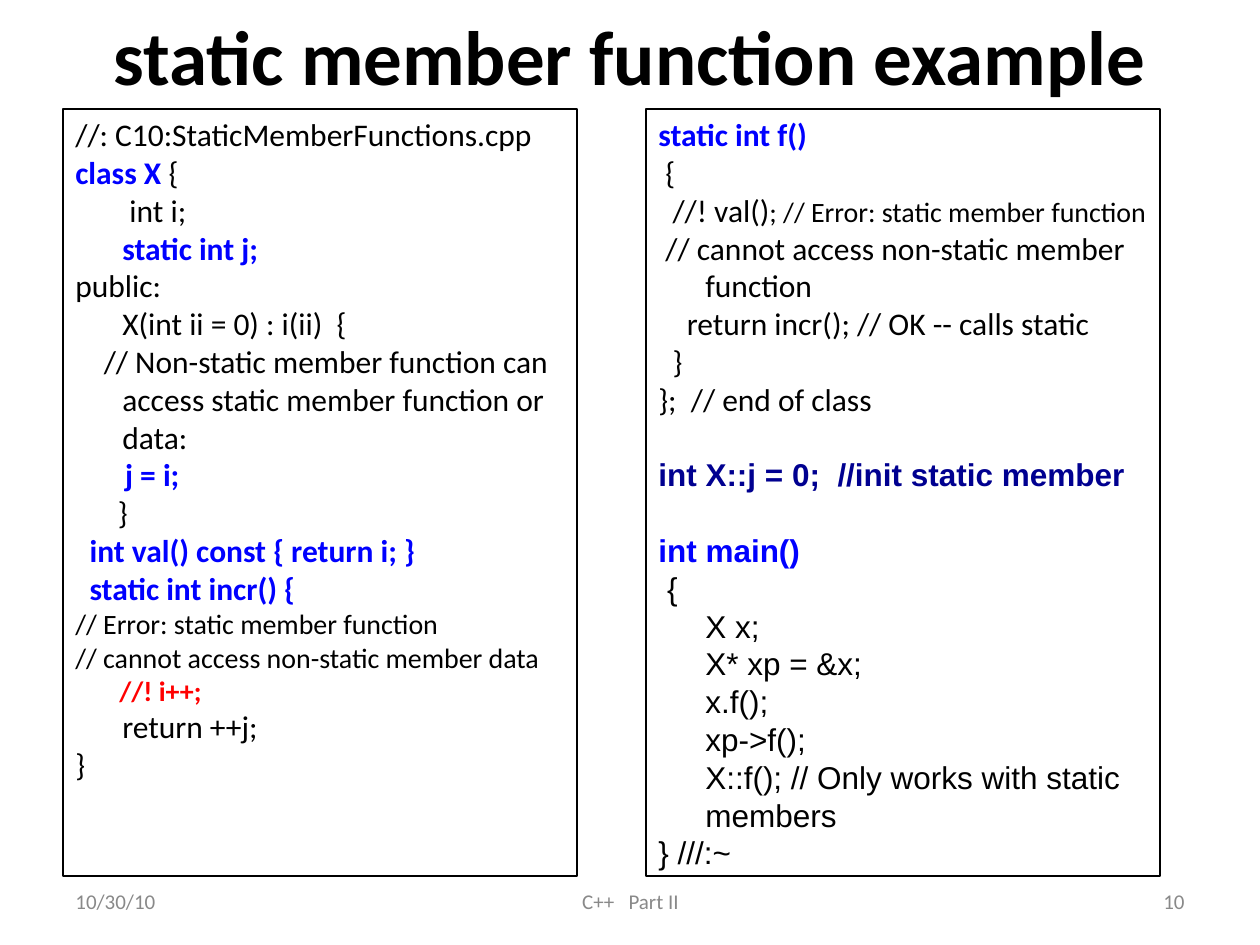
import pptx
import pptx.util
import pptx.dml.color
import pptx.enum.shapes
import pptx.enum.text

Pt = pptx.util.Pt
ALIGN = pptx.enum.text.PP_ALIGN
ANCHOR = pptx.enum.text.MSO_ANCHOR

# Styles: size, font, colour, bold
BODY = (18, "Calibri", "000000", False)
BLUE = (18, "Calibri", "0000FF", True)
NOTE = (16, "Calibri", "000000", False)
RED = (16, "Calibri", "FF0000", True)
SANS = (18, "Arial", "000000", False)
NAVY = (18, "Arial", "000090", True)
HEAD = (18, "Arial", "0000FF", True)
TITLE = (44, "Calibri", "000000", True)
GREY = (12, "Calibri", "898989", False)

# Code lines: each is a list of (text, style) runs
LEFT = [
    [("//: C10:StaticMemberFunctions.cpp", BODY)],
    [("class X ", BLUE), ("{", BODY)],
    [("\t int i;", BODY)],
    [("  \tstatic int j;", BLUE)],
    [("public:", BODY)],
    [("  \tX(int ii = 0) : i(ii)  {", BODY)],
    [("    // Non-static member function can access static member function or data:", BODY)],
    [("       j = i;", BLUE)],
    [("      }", BODY)],
    [("  int val() const { return i; }", BLUE)],
    [("  static int incr() {", BLUE)],
    [("// Error: static member function", NOTE)],
    [("// cannot access non-static member data", NOTE)],
    [("       //! i++;", RED)],
    [("\treturn ++j;", BODY)],
    [("}", BODY)],
]
RIGHT = [
    [("static int f()", BLUE)],
    [(" {", BODY)],
    [("  //! val()", BODY), ("; // Error: static member function", NOTE)],
    [(" // cannot access non-static member function", BODY)],
    [("    return incr(); // OK -- calls static", BODY)],
    [("  }", BODY)],
    [("};  // end of class", BODY)],
    [("int X::j = 0;  //init static member", NAVY)],
    [("int main()", HEAD)],
    [(" {", SANS)],
    [(" \tX x;", SANS)],
    [("\tX* xp = &x;", SANS)],
    [("\tx.f();", SANS)],
    [("\txp->f();", SANS)],
    [("\tX::f(); // Only works with static members", SANS)],
    [("} ///:~", SANS)],
]
GAPS = (NAVY, HEAD)  # lines in these styles stand one line apart
PANELS = [(63, LEFT), (646, RIGHT)]  # left edge, code
FOOTER = [  # left, width, alignment, text
    (63, 294, ALIGN.LEFT, "10/30/10"),
    (431, 399, ALIGN.CENTER, "C++   Part II"),
    (903, 294, ALIGN.RIGHT, "10"),
]


def px(n):
    return round(n * 914400 / 126)


def color(code):
    return pptx.dml.color.RGBColor.from_string(code)


def style(font, look):
    size, font.name, code, font.bold = look
    font.size = Pt(size)
    font.color.rgb = color(code)


def place(shape, *box):
    shape.left, shape.top, shape.width, shape.height = map(px, box)


def label(frame, text, look, align):
    frame.word_wrap = True
    frame.auto_size = pptx.enum.text.MSO_AUTO_SIZE.NONE
    frame.vertical_anchor = ANCHOR.MIDDLE
    para = frame.paragraphs[0]
    para.text = text
    para.alignment = align
    style(para.font, look)


def code_line(para, runs):
    para.alignment = ALIGN.LEFT
    props = para._p.get_or_add_pPr()
    props.set("marL", str(px(47)))
    props.set("indent", str(px(-47)))
    look = runs[0][1]
    para.line_spacing = Pt(1.2 * look[0])
    if look in GAPS:
        para.space_before = para.line_spacing
    for text, mark in runs:
        run = para.add_run()
        run.text = text
        if len(runs) > 1:
            style(run.font, mark)
    if len(runs) == 1:
        style(para.font, look)


def panel(slide, left, lines):
    box = slide.shapes.add_shape(
        pptx.enum.shapes.MSO_SHAPE.RECTANGLE, *map(px, (left, 109, 514, 767)))
    box.shadow.inherit = False
    box.fill.background()
    box.line.color.rgb = color("000000")
    box.line.width = Pt(0.75)
    frame = box.text_frame
    frame.word_wrap = True
    frame.vertical_anchor = ANCHOR.TOP
    for i, runs in enumerate(lines):
        para = frame.add_paragraph() if i else frame.paragraphs[0]
        code_line(para, runs)


def main():
    prs = pptx.Presentation()
    prs.slide_width, prs.slide_height = px(1260), px(945)
    slide = prs.slides.add_slide(prs.slide_layouts[5])

    # Title
    title = slide.shapes.title
    place(title, 63, 0, 1134, 109)
    label(title.text_frame, "static member function example", TITLE, ALIGN.CENTER)

    # Code panels
    for left, lines in PANELS:
        panel(slide, left, lines)

    # Footer
    for left, width, align, text in FOOTER:
        box = slide.shapes.add_textbox(*map(px, (left, 876, width, 50)))
        label(box.text_frame, text, GREY, align)

    prs.save("out.pptx")


if __name__ == "__main__":
    main()
